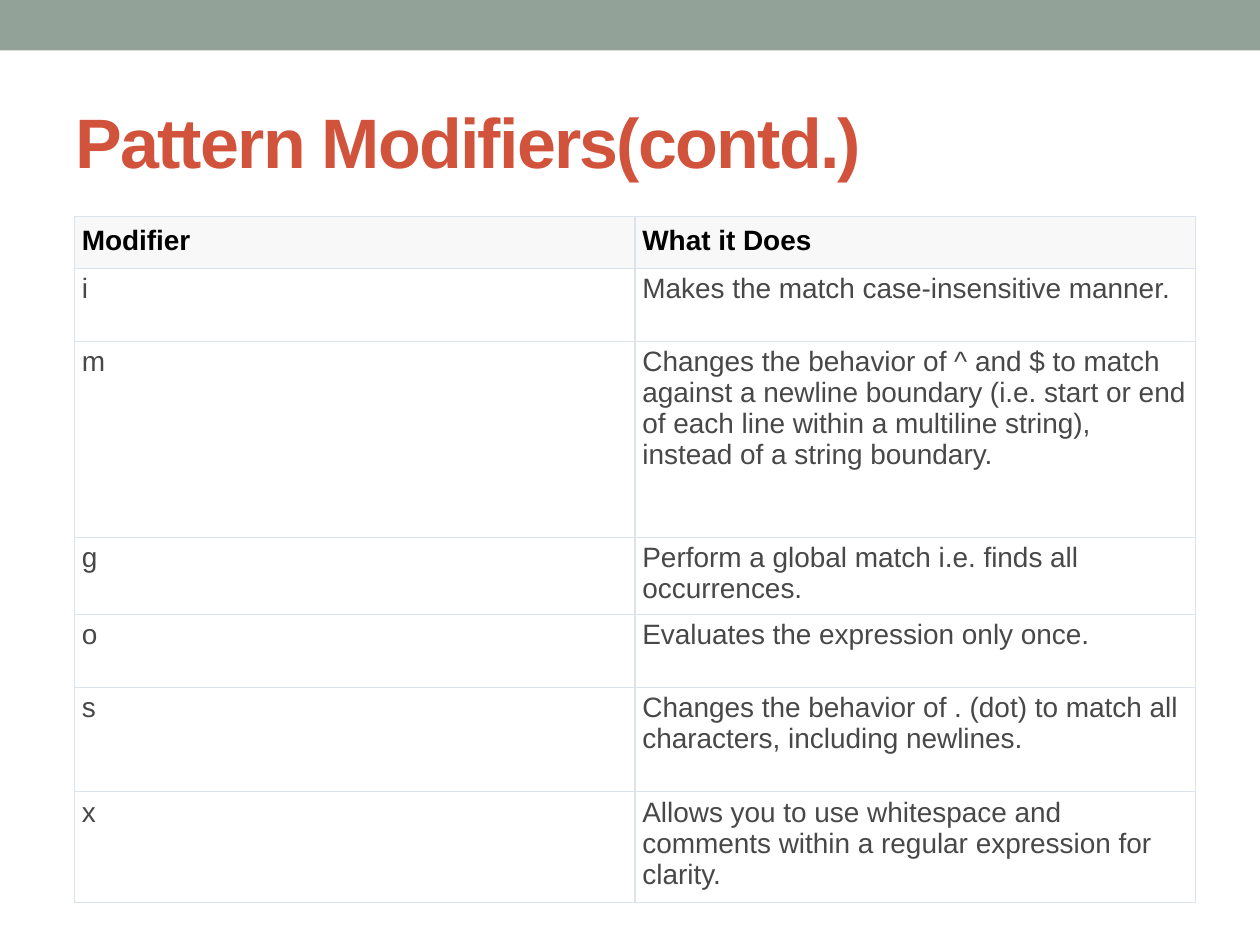
from lxml.etree import SubElement
from pptx import Presentation
from pptx.dml.color import RGBColor
from pptx.enum.shapes import MSO_SHAPE
from pptx.enum.text import MSO_ANCHOR
from pptx.oxml.ns import qn
from pptx.util import Cm, Pt


def color(hex_value):
    return RGBColor.from_string(hex_value)


def write(frame, text, size=16, fill="484848", bold=False, spacing=None):
    frame.word_wrap = True
    run = frame.paragraphs[0].add_run()
    run.text = text
    run.font.name = "Arial"
    run.font.size = Pt(size)
    run.font.bold = bold
    run.font.color.rgb = color(fill)
    if spacing is not None:
        run.font._element.set("spc", str(spacing))


presentation = Presentation()
presentation.slide_width = Cm(25.4)
presentation.slide_height = Cm(19.05)
slide = presentation.slides.add_slide(presentation.slide_layouts[6])

band = slide.shapes.add_shape(MSO_SHAPE.RECTANGLE, 0, 0, Cm(25.4), Cm(1.02))
band.shadow.inherit = False
band.fill.solid()
band.fill.fore_color.rgb = color("93A299")
band.line.fill.background()

title = slide.shapes.add_textbox(Cm(1.27), Cm(1.47), Cm(22.86), Cm(2.74))
title.text_frame.vertical_anchor = MSO_ANCHOR.MIDDLE
write(title.text_frame, "Pattern Modifiers(contd.)", size=40, fill="D2533C", bold=True, spacing=-100)

rows = [
    (0.97, "Modifier", "What it Does"),
    (1.47, "i", "Makes the match case-insensitive manner."),
    (3.96, "m", "Changes the behavior of ^ and $ to match against a newline boundary "
                "(i.e. start or end of each line within a multiline string), "
                "instead of a string boundary."),
    (1.47, "g", "Perform a global match i.e. finds all occurrences."),
    (1.47, "o", "Evaluates the expression only once."),
    (2.1, "s", "Changes the behavior of . (dot) to match all characters, including newlines."),
    (2.1, "x", "Allows you to use whitespace and comments within a regular expression for clarity."),
]
total_height = sum(row[0] for row in rows)
table = slide.shapes.add_table(len(rows), 2, Cm(1.5), Cm(4.37), Cm(22.6), Cm(total_height)).table
for column in table.columns:
    column.width = Cm(11.3)

for row_index, (height, *texts) in enumerate(rows):
    header = row_index == 0
    table.rows[row_index].height = Cm(height)
    for column_index, text in enumerate(texts):
        cell = table.cell(row_index, column_index)
        cell.margin_left = cell.margin_right = Cm(0.15)
        cell.margin_top = cell.margin_bottom = Cm(0.18 if header else 0.1)
        cell.vertical_anchor = MSO_ANCHOR.TOP
        write(cell.text_frame, text, fill="000000" if header else "484848", bold=header)
        properties = cell._tc.get_or_add_tcPr()
        for edge in ("a:lnL", "a:lnR", "a:lnT", "a:lnB"):
            border = SubElement(properties, qn(edge), w=str(Pt(0.75)))
            border_fill = SubElement(border, qn("a:solidFill"))
            SubElement(border_fill, qn("a:srgbClr"), val="DCE3EB")
        cell.fill.solid()
        cell.fill.fore_color.rgb = color("F8F8F8" if header else "FFFFFF")

presentation.save("out.pptx")
